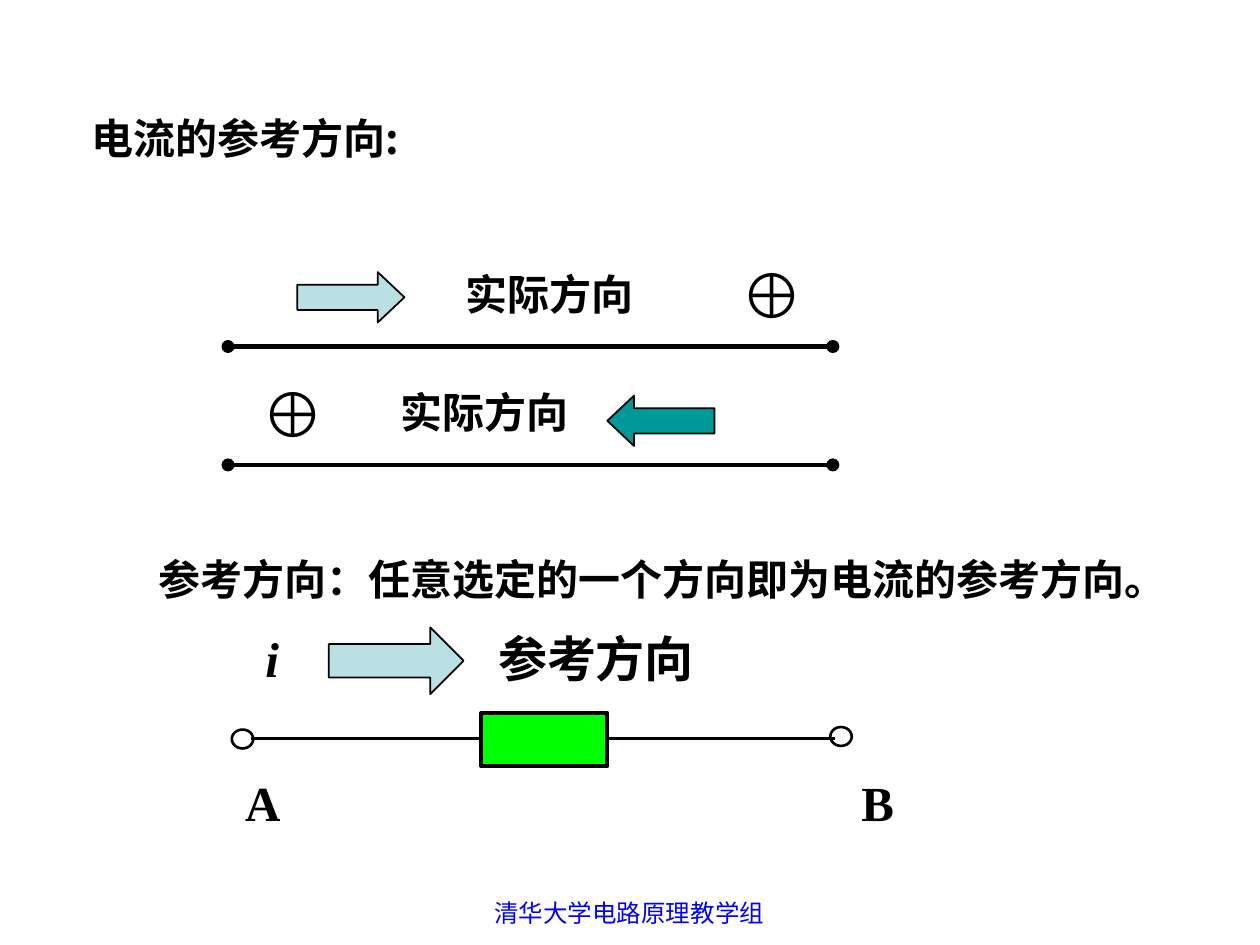
from lxml.etree import SubElement
from pptx import Presentation
from pptx.dml.color import RGBColor
from pptx.enum.shapes import MSO_CONNECTOR as Connector, MSO_SHAPE as Shape
from pptx.enum.text import MSO_ANCHOR as Anchor, PP_ALIGN as Align
from pptx.oxml.ns import qn
from pptx.util import Inches, Pt

CJK_FONT = "Noto Sans CJK SC"
SERIF = "Times New Roman"
BLACK = "000000"
PALE_TEAL = "BBE0E3"
WIRE_LEFT, WIRE_RIGHT = 1.81, 6.61


def color(hex_code):
    return RGBColor.from_string(hex_code)


def place(left, top, width, height):
    return [Inches(value) for value in (left, top, width, height)]


def write(frame, text, size, font, bold=True, italic=False, ink=BLACK,
          align=Align.CENTER, anchor=Anchor.MIDDLE, wrap=True):
    frame.text = text
    frame.word_wrap = wrap
    frame.vertical_anchor = anchor
    paragraph = frame.paragraphs[0]
    paragraph.alignment = align
    run_font = paragraph.runs[0].font
    run_font.name = font
    run_font.size = Pt(size)
    run_font.bold = bold
    run_font.italic = italic
    run_font.color.rgb = color(ink)
    east_asian = SubElement(run_font._element, qn("a:ea"))
    east_asian.set("typeface", CJK_FONT)


def add_title(slide, text):
    title = slide.shapes.title
    title.left, title.top, title.width, title.height = place(0.63, 0.84, 3.15, 0.5)
    write(title.text_frame, text, 24, CJK_FONT, align=Align.LEFT, anchor=Anchor.TOP)


def add_label(slide, box, text, size=24, font=SERIF, **style):
    label = slide.shapes.add_textbox(*place(*box))
    write(label.text_frame, text, size, font, **style)


def add_charge(slide, box):
    add_label(slide, box, "⊕", 36, "Arial", bold=False)


def add_outline(slide, kind, box, weight, fill=None):
    part = slide.shapes.add_shape(kind, *place(*box))
    part.shadow.inherit = False
    part.line.color.rgb = color(BLACK)
    part.line.width = Pt(weight)
    if fill:
        part.fill.solid()
        part.fill.fore_color.rgb = color(fill)
    else:
        part.fill.background()
    return part


def add_arrow(slide, kind, box, fill, head_ratio):
    arrow = add_outline(slide, kind, box, 1, fill)
    arrow.adjustments[0] = 0.5
    arrow.adjustments[1] = head_ratio


def add_wire(slide, start, end, y, weight, dotted_ends=False):
    wire = slide.shapes.add_connector(
        Connector.STRAIGHT, Inches(start), Inches(y), Inches(end), Inches(y))
    wire.line.color.rgb = color(BLACK)
    wire.line.width = Pt(weight)
    if dotted_ends:
        stroke = wire.line._get_or_add_ln()
        for end_tag in ("a:headEnd", "a:tailEnd"):
            SubElement(stroke, qn(end_tag)).set("type", "oval")
    SubElement(wire._element.spPr, qn("a:effectLst"))


def add_actual_directions(slide):
    add_wire(slide, WIRE_LEFT, WIRE_RIGHT, 2.75, 2.5, dotted_ends=True)
    add_arrow(slide, Shape.RIGHT_ARROW, (2.36, 2.16, 0.85, 0.4), PALE_TEAL, 0.53)
    add_label(slide, (3.36, 2.13, 2, 0.4), "实际方向")
    add_charge(slide, (5.78, 2.02, 0.62, 0.62))

    add_wire(slide, WIRE_RIGHT, WIRE_LEFT, 3.69, 2.5, dotted_ends=True)
    add_arrow(slide, Shape.LEFT_ARROW, (4.82, 3.14, 0.85, 0.4), "009999", 0.53)
    add_label(slide, (3.08, 3.07, 1.53, 0.4), "实际方向", wrap=False)
    add_charge(slide, (1.98, 2.96, 0.62, 0.62))


def add_reference_direction(slide):
    add_label(slide, (1.16, 4.34, 8.2, 0.5),
              "参考方向：任意选定的一个方向即为电流的参考方向。", wrap=False)
    add_label(slide, (1.91, 4.94, 0.5, 0.57), "i", 28, italic=True)
    add_label(slide, (3.83, 4.94, 1.8, 0.57), "参考方向", 28, wrap=False)
    add_arrow(slide, Shape.RIGHT_ARROW, (2.61, 4.98, 1.07, 0.53), PALE_TEAL, 0.5)

    for terminal, left in (("A", 1.69), ("B", 6.57)):
        add_label(slide, (left, 6.08, 0.79, 0.57), terminal, 28)
    add_wire(slide, 1.99, 6.63, 5.86, 1.5)
    add_outline(slide, Shape.RECTANGLE, (3.82, 5.66, 1, 0.42), 2.5, "00FF00")
    for left, top in ((1.84, 5.79), (6.59, 5.77)):
        add_outline(slide, Shape.OVAL, (left, top, 0.17, 0.15), 1.5)


def main():
    deck = Presentation()
    deck.slide_width, deck.slide_height = Inches(10), Inches(7.5)
    slide = deck.slides.add_slide(deck.slide_layouts[5])
    add_title(slide, "电流的参考方向:")
    add_actual_directions(slide)
    add_reference_direction(slide)
    add_label(slide, (3.41, 7.08, 3.17, 0.27), "清华大学电路原理教学组", 14, "Arial",
              bold=False, ink="0000FF", anchor=Anchor.TOP)
    deck.save("out.pptx")


if __name__ == "__main__":
    main()
